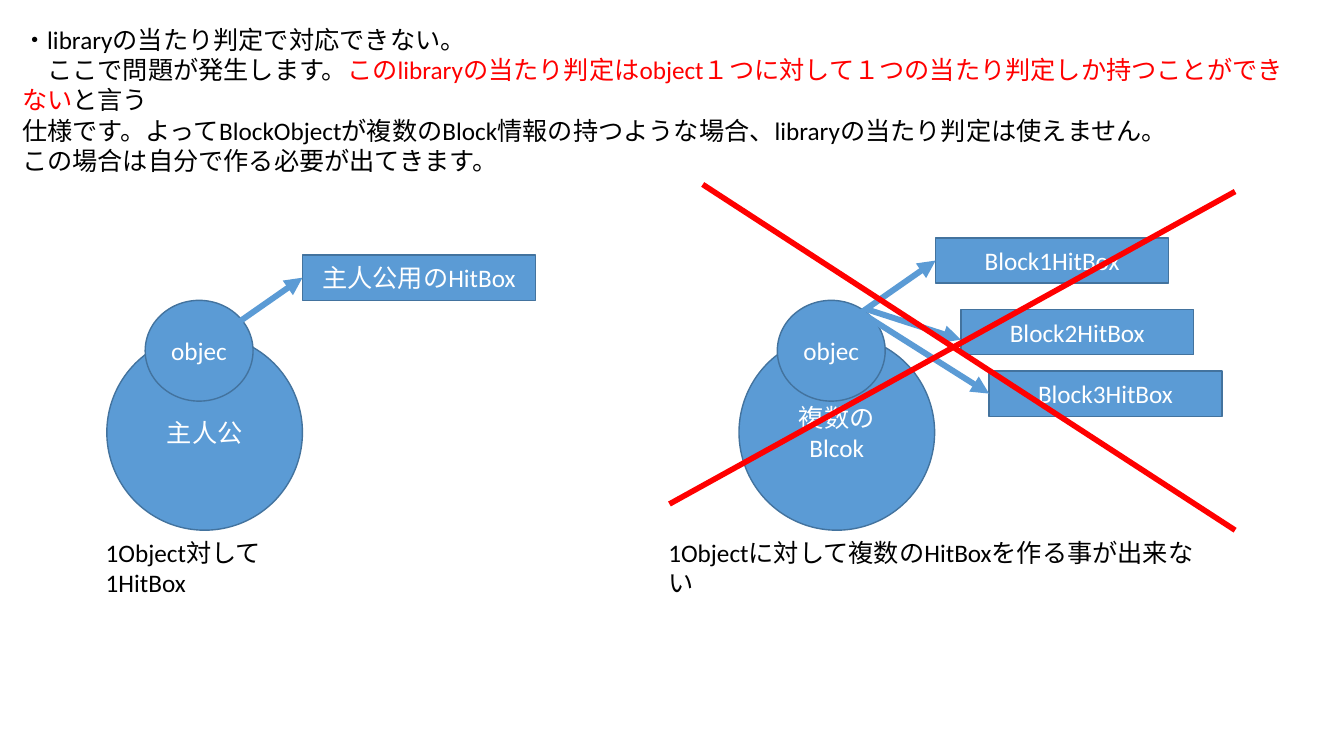
from lxml.etree import SubElement
from pptx import Presentation
from pptx.dml.color import RGBColor
from pptx.enum.shapes import MSO_CONNECTOR, MSO_SHAPE
from pptx.enum.text import MSO_ANCHOR, PP_ALIGN
from pptx.oxml.ns import qn
from pptx.util import Pt

PX = 9144  # EMU in one px, 100 px to the inch
COLORS = {"blue": "5B9BD5", "outline": "43739E", "red": "FF0000",
          "black": "000000", "white": "FFFFFF"}
FONT = {"name": "Calibri", "size": Pt(18)}
LEFT_SIDE = 1

EXPLANATION = [
    [("・libraryの当たり判定で対応できない。", "black")],
    [("\u3000ここで問題が発生します。".replace("\u3000", "　"), "black"),
     ("このlibraryの当たり判定はobject１つに対して１つの当たり判定しか持つことができない", "red"),
     ("と言う", "black")],
    [("仕様です。よってBlockObjectが複数のBlock情報の持つような場合、"
      "libraryの当たり判定は使えません。", "black")],
    [("この場合は自分で作る必要が出てきます。", "black")],
]


def color(name):
    return RGBColor.from_string(COLORS[name])


def px(*lengths):
    return [length * PX for length in lengths]


def add_span(para, text, color_name):
    span = para.add_run()
    span.text = text
    for attribute, value in FONT.items():
        setattr(span.font, attribute, value)
    span.font.color.rgb = color(color_name)


def add_text(page, place, paragraphs):
    """Add a text box; each paragraph is a list of (text, colour) pairs."""
    frame = page.shapes.add_textbox(*px(*place)).text_frame
    frame.word_wrap = True
    for index, spans in enumerate(paragraphs):
        para = frame.add_paragraph() if index else frame.paragraphs[0]
        for text, color_name in spans:
            add_span(para, text, color_name)


def add_node(page, kind, place, label):
    node = page.shapes.add_shape(kind, *px(*place))
    node.shadow.inherit = False
    node.fill.solid()
    node.fill.fore_color.rgb = color("blue")
    node.line.color.rgb = color("outline")
    node.line.width = Pt(1)
    node.text_frame.vertical_anchor = MSO_ANCHOR.MIDDLE
    para = node.text_frame.paragraphs[0]
    para.alignment = PP_ALIGN.CENTER
    add_span(para, label, "white")
    return node


def add_line(page, start, end, color_name, width):
    line = page.shapes.add_connector(MSO_CONNECTOR.STRAIGHT, *px(*start, *end))
    line.line.color.rgb = color(color_name)
    line.line.width = Pt(width)
    SubElement(line._element.spPr, qn("a:effectLst"))
    return line


def add_arrow(page, start, end):
    arrow = add_line(page, start, end, "blue", 4.25)
    SubElement(arrow.line._get_or_add_ln(), qn("a:tailEnd"), type="triangle")
    return arrow


def add_owner(page, left, label):
    """Add the large circle with its object circle on top."""
    add_node(page, MSO_SHAPE.OVAL, (left, 332, 194, 194), label)
    add_node(page, MSO_SHAPE.OVAL, (left + 38, 298, 107, 100), "objec")


def add_hit_box(page, left, top, label, start, end=None):
    """Add a box and its arrow, joined to the left side unless an end is given."""
    box = add_node(page, MSO_SHAPE.RECTANGLE, (left, top, 231, 45), label)
    arrow = add_arrow(page, start, end or (left, top + 22))
    if end is None:
        arrow.end_connect(box, LEFT_SIDE)


def main():
    deck = Presentation()
    deck.slide_width, deck.slide_height = px(1333, 750)
    page = deck.slides.add_slide(deck.slide_layouts[6])

    add_text(page, (12, 19, 1281, 131), EXPLANATION)

    add_owner(page, 106, "主人公")
    add_hit_box(page, 300, 253, "主人公用のHitBox", (219, 332))
    add_text(page, (95, 528, 248, 40), [[("1Object対して1HitBox", "black")]])

    add_owner(page, 733, "複数のBlcok")
    add_hit_box(page, 928, 236, "Block1HitBox", (847, 315))
    add_hit_box(page, 953, 307, "Block2HitBox", (860, 307), (953, 337))
    add_hit_box(page, 981, 368, "Block3HitBox", (852, 309))
    add_text(page, (653, 528, 551, 40),
             [[("1Objectに対して複数のHitBoxを作る事が出来ない", "black")]])

    for start, end in (((697, 183), (1225, 526)), ((664, 500), (1225, 190))):
        add_line(page, start, end, "red", 4)

    deck.save("out.pptx")


if __name__ == "__main__":
    main()
